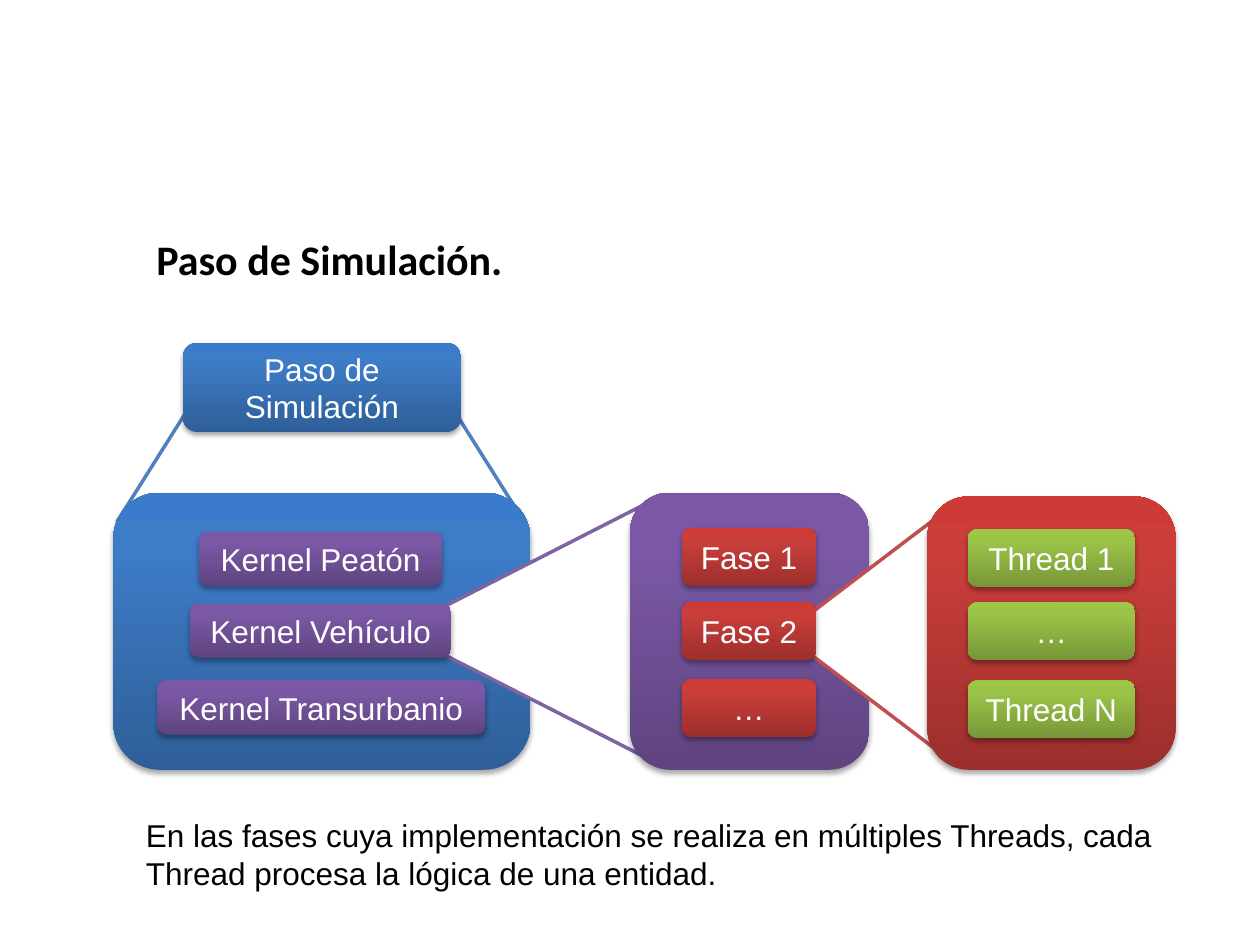
from dataclasses import dataclass

from lxml import etree
from pptx import Presentation
from pptx.dml.color import RGBColor
from pptx.enum.shapes import MSO_SHAPE
from pptx.enum.text import MSO_ANCHOR, PP_ALIGN
from pptx.oxml.ns import qn
from pptx.util import Inches, Pt

ROUND = MSO_SHAPE.ROUNDED_RECTANGLE
ALTERNATE = MSO_SHAPE.FLOWCHART_ALTERNATE_PROCESS
TRAPEZOID = MSO_SHAPE.TRAPEZOID
CENTER, LEFT = PP_ALIGN.CENTER, PP_ALIGN.LEFT
MIDDLE = MSO_ANCHOR.MIDDLE

# The slide is a grid of 100 columns by 75 rows of square cells
COLUMNS, ROWS = 100, 75
CELL = Inches(0.1)

# Gradient colours from the bottom edge to the top edge
STOPS = (0, 80, 100)
BLUE = ("2F5F99", "3D7CC7", "3A7CCB")
PURPLE = ("5F4480", "7B58A6", "7C57A8")
RED = ("9C2F2D", "CB3E3A", "CE3B37")
GREEN = ("779737", "9BC348", "9DC746")


@dataclass
class Box:
    col: float
    row: float
    width: float
    height: float

    def lengths(self) -> list[int]:
        return [round(v * CELL) for v in (self.col, self.row, self.width, self.height)]


def rgb(value: str) -> RGBColor:
    return RGBColor.from_string(value)


def format_text(tf, color: str, align, size: int = 18, font: str = "Arial", bold: bool = False) -> None:
    for p in tf.paragraphs:
        p.alignment = align
        for r in p.runs:
            r.font.name, r.font.size, r.font.bold = font, Pt(size), bold
            r.font.color.rgb = rgb(color)


def add_color(parent, value: str):
    return etree.SubElement(parent, qn("a:srgbClr"), val=value)


def add_gradient(sp, colors: tuple) -> None:
    sp.fill.gradient()
    sp.fill.gradient_angle = 90
    stops = sp._element.spPr.find(".//" + qn("a:gsLst"))
    for stop in list(stops):
        stops.remove(stop)
    for pos, color in zip(STOPS, colors):
        add_color(etree.SubElement(stops, qn("a:gs"), pos=str(pos * 1000)), color)


def add_shadow(sp) -> None:
    sp.shadow.inherit = False
    effects = sp._element.spPr.find(qn("a:effectLst"))
    shadow = etree.SubElement(effects, qn("a:outerShdw"), blurRad=str(Pt(3.1)),
                              dist=str(Pt(1.8)), dir="5400000", rotWithShape="0")
    etree.SubElement(add_color(shadow, "000000"), qn("a:alpha"), val="35000")


def add_block(shapes, kind, box: Box, colors: tuple, text: str = "") -> None:
    sp = shapes.add_shape(kind, *box.lengths())
    add_gradient(sp, colors)
    sp.line.fill.background()
    add_shadow(sp)
    if text:
        tf = sp.text_frame
        tf.word_wrap, tf.vertical_anchor = True, MIDDLE
        tf.text = text
        format_text(tf, "FFFFFF", CENTER)


def add_funnel(shapes, box: Box, adjust: float, color: str, rotation: int = 0) -> None:
    sp = shapes.add_shape(TRAPEZOID, *box.lengths())
    sp.adjustments[0] = adjust
    sp.rotation = rotation
    sp.fill.solid()
    sp.fill.fore_color.rgb = rgb("FFFFFF")
    sp.line.color.rgb = rgb(color)
    sp.line.width = Pt(2)
    sp.shadow.inherit = False


def build() -> None:
    prs = Presentation()
    prs.slide_width, prs.slide_height = COLUMNS * CELL, ROWS * CELL
    s = prs.slides.add_slide(prs.slide_layouts[5])
    shapes = s.shapes

    # Funnel from the step to its kernels
    add_funnel(shapes, Box(9.3, 32.7, 32.3, 8.7), 0.63, "4F81BD")

    # Title
    title = shapes.title
    title.left, title.top, title.width, title.height = Box(11.4, 17.8, 90, 5.4).lengths()
    title.text_frame.text = "Paso de Simulación."
    title.text_frame.vertical_anchor = MIDDLE
    format_text(title.text_frame, "000000", LEFT, 24, "Calibri", True)

    # Simulation step and kernels
    add_block(shapes, ROUND, Box(14.5, 27.2, 22.1, 7.1), BLUE, "Paso de Simulación")
    add_block(shapes, ROUND, Box(9, 39.1, 33.1, 22), BLUE)
    add_block(shapes, ALTERNATE, Box(15.8, 42.2, 19.3, 4.3), PURPLE, "Kernel Peatón")
    add_block(shapes, ALTERNATE, Box(12.5, 54, 26, 4.3), PURPLE, "Kernel Transurbanio")
    add_funnel(shapes, Box(33.1, 41.4, 21.3, 17.3), 0.51, "8064A2", 270)
    add_block(shapes, ALTERNATE, Box(15.1, 47.9, 20.7, 4.3), PURPLE, "Kernel Vehículo")

    # Phases; the expanded one lies over its funnel
    add_block(shapes, ALTERNATE, Box(50, 39.1, 19, 22), PURPLE)
    for row, text in ((41.9, "Fase 1"), (53.9, "…")):
        add_block(shapes, ROUND, Box(54.1, row, 10.7, 4.6), RED, text)
    add_funnel(shapes, Box(59.6, 44.4, 20.9, 11.8), 0.76, "C0504D", 270)
    add_block(shapes, ROUND, Box(54.1, 47.8, 10.7, 4.6), RED, "Fase 2")

    # Threads
    threads = shapes.add_group_shape().shapes
    add_block(threads, ROUND, Box(73.6, 39.4, 19.7, 21.7), RED)
    for row, text in ((42, "Thread 1"), (47.8, "…"), (54, "Thread N")):
        add_block(threads, ROUND, Box(76.8, row, 13.3, 4.6), GREEN, text)

    # Explanation
    tf = shapes.add_textbox(*Box(10.6, 64.3, 85, 7.1).lengths()).text_frame
    tf.word_wrap = True
    tf.text = ("En las fases cuya implementación se realiza en múltiples Threads, "
               "cada Thread procesa la lógica de una entidad.")
    format_text(tf, "000000", LEFT)

    prs.save("out.pptx")


if __name__ == "__main__":
    build()
